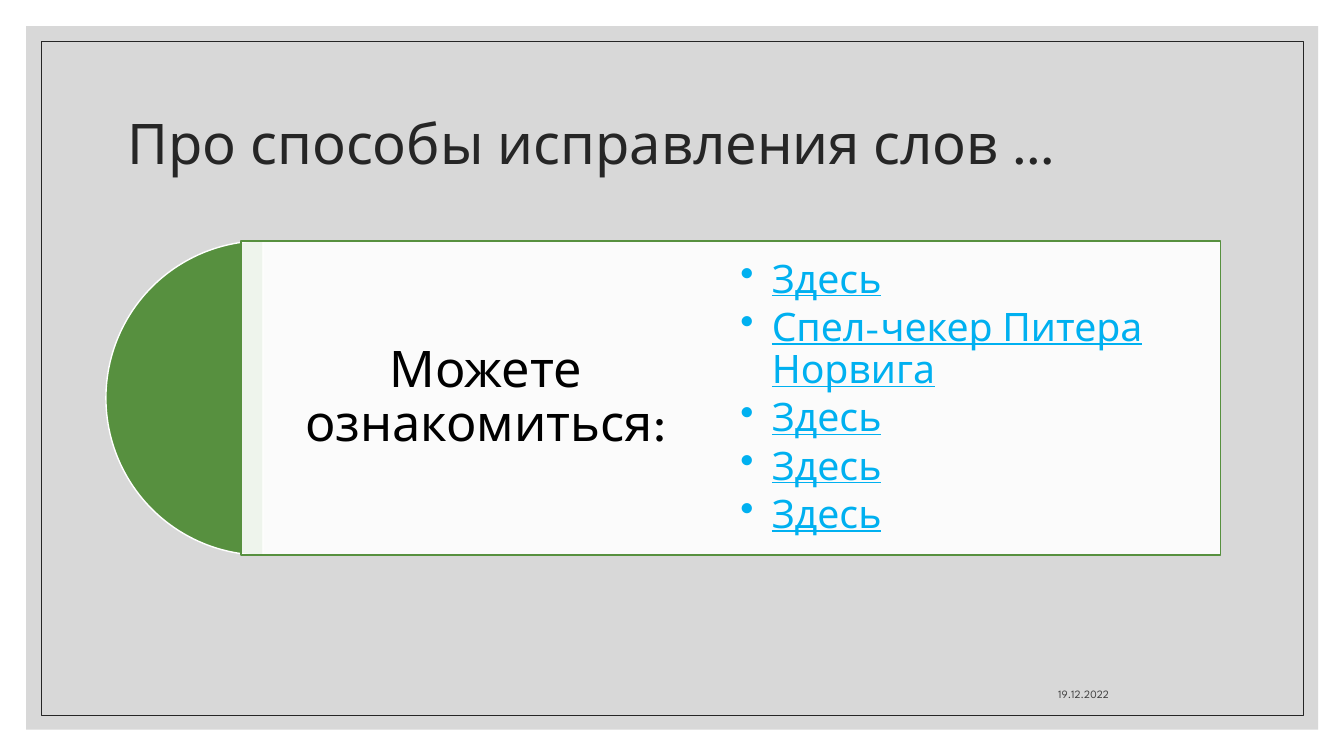
"""Builds the slide about ways of correcting words."""
from dataclasses import dataclass
from typing import Optional

from lxml.etree import SubElement
from pptx import Presentation
from pptx.dml.color import RGBColor
from pptx.enum.shapes import MSO_SHAPE
from pptx.enum.text import MSO_ANCHOR, PP_ALIGN
from pptx.oxml.ns import qn
from pptx.util import Cm, Pt


@dataclass(frozen=True)
class Theme:
    font: str = "League Spartan"
    backdrop: str = "BFBFBF"
    ink: str = "262626"
    green: str = "57903F"
    white: str = "FFFFFF"
    black: str = "000000"
    link: str = "00B0F0"
    date: str = "404040"
    title_size: float = 40
    heading_size: float = 36
    item_size: float = 28
    date_size: float = 8


@dataclass(frozen=True)
class Box:
    left: float
    top: float
    width: float
    height: float

    def lengths(self) -> tuple:
        return tuple(Cm(v) for v in (self.left, self.top, self.width, self.height))


@dataclass(frozen=True)
class Figure:
    box: Box
    preset: MSO_SHAPE = MSO_SHAPE.RECTANGLE
    fill: Optional[str] = None
    opacity: int = 100
    line: Optional[str] = None
    line_width: float = 1
    adjustments: tuple = ()


@dataclass(frozen=True)
class Passage:
    box: Box
    lines: tuple
    size: float
    color: str
    align: PP_ALIGN = PP_ALIGN.LEFT
    anchor: MSO_ANCHOR = MSO_ANCHOR.MIDDLE
    inset: Optional[float] = None
    spacing: float = 0.9
    space_after: float = 0
    underline: bool = False
    indent: float = 0


THEME = Theme()
BAND_TOP, BAND_HEIGHT, PANEL_LEFT, PANEL_WIDTH = 6.07, 7.92, 6.07, 24.69

FIGURES = (
    Figure(Box(0.66, 0.66, 32.56, 17.73), fill=THEME.backdrop, opacity=60),
    Figure(Box(1.04, 1.04, 31.8, 16.99), line=THEME.ink, line_width=0.5),
    Figure(Box(2.67, BAND_TOP, BAND_HEIGHT, BAND_HEIGHT), MSO_SHAPE.PIE,
           fill=THEME.green, line=THEME.white, adjustments=(54, 162)),
    Figure(Box(PANEL_LEFT, BAND_TOP, PANEL_WIDTH, BAND_HEIGHT),
           fill=THEME.white, opacity=90, line=THEME.green),
)

PASSAGES = (
    Passage(Box(2.97, 1.78, 27.94, 3.81), ("Про способы исправления слов …",),
            THEME.title_size, THEME.ink),
    Passage(Box(PANEL_LEFT, BAND_TOP, PANEL_WIDTH / 2, BAND_HEIGHT),
            ("Можете ознакомиться:",), THEME.heading_size, THEME.black,
            align=PP_ALIGN.CENTER, inset=0.38),
    Passage(Box(18.36, BAND_TOP, 13.56, BAND_HEIGHT),
            ("Здесь", "Спел-чекер Питера Норвига", "Здесь", "Здесь", "Здесь"),
            THEME.item_size, THEME.link, inset=0.3, space_after=4.2,
            underline=True, indent=0.79),
    Passage(Box(20.17, 16.76, 8.03, 1.02), ("19.12.2022",), THEME.date_size,
            THEME.date, align=PP_ALIGN.RIGHT, anchor=MSO_ANCHOR.BOTTOM, spacing=1),
)


def apply_format(target, values: dict) -> None:
    """Set every named attribute of the target."""
    for name, value in values.items():
        setattr(target, name, value)


def draw_figure(slide, figure: Figure) -> None:
    """Draw one preset shape with its fill and outline."""
    shape = slide.shapes.add_shape(figure.preset, *figure.box.lengths())
    shape.shadow.inherit = False
    for index, value in enumerate(figure.adjustments):
        shape.adjustments[index] = value
    if figure.fill:
        shape.fill.solid()
        shape.fill.fore_color.rgb = RGBColor.from_string(figure.fill)
        color = shape.fill._xPr.find(qn("a:solidFill"))[0]
        if figure.opacity < 100:
            SubElement(color, qn("a:alpha"), val=str(figure.opacity * 1000))
    else:
        shape.fill.background()
    if figure.line:
        shape.line.color.rgb = RGBColor.from_string(figure.line)
        shape.line.width = Pt(figure.line_width)
    else:
        shape.line.fill.background()


def add_bullet(paragraph, indent: float) -> None:
    """Give the paragraph a hanging bullet."""
    properties = paragraph._p.get_or_add_pPr()
    properties.set("marL", str(Cm(indent)))
    properties.set("indent", str(-Cm(indent)))
    SubElement(properties, qn("a:buChar"), char="•")


def draw_passage(slide, passage: Passage) -> None:
    """Draw one text box with its paragraphs."""
    frame = slide.shapes.add_textbox(*passage.box.lengths()).text_frame
    apply_format(frame, {"word_wrap": True, "vertical_anchor": passage.anchor})
    if passage.inset is not None:
        sides = ("left", "top", "right", "bottom")
        apply_format(frame, {f"margin_{side}": Cm(passage.inset) for side in sides})
    for index, line in enumerate(passage.lines):
        paragraph = frame.add_paragraph() if index else frame.paragraphs[0]
        apply_format(paragraph, {
            "alignment": passage.align,
            "line_spacing": passage.spacing,
            "space_after": Pt(passage.space_after),
        })
        if passage.indent:
            add_bullet(paragraph, passage.indent)
        run = paragraph.add_run()
        run.text = line
        apply_format(run.font, {
            "name": THEME.font,
            "size": Pt(passage.size),
            "underline": passage.underline,
        })
        run.font.color.rgb = RGBColor.from_string(passage.color)


def main() -> None:
    """Build and save the slide."""
    deck = Presentation()
    apply_format(deck, {"slide_width": Cm(33.87), "slide_height": Cm(19.05)})
    slide = deck.slides.add_slide(deck.slide_layouts[6])
    for figure in FIGURES:
        draw_figure(slide, figure)
    for passage in PASSAGES:
        draw_passage(slide, passage)
    deck.save("out.pptx")


if __name__ == "__main__":
    main()
